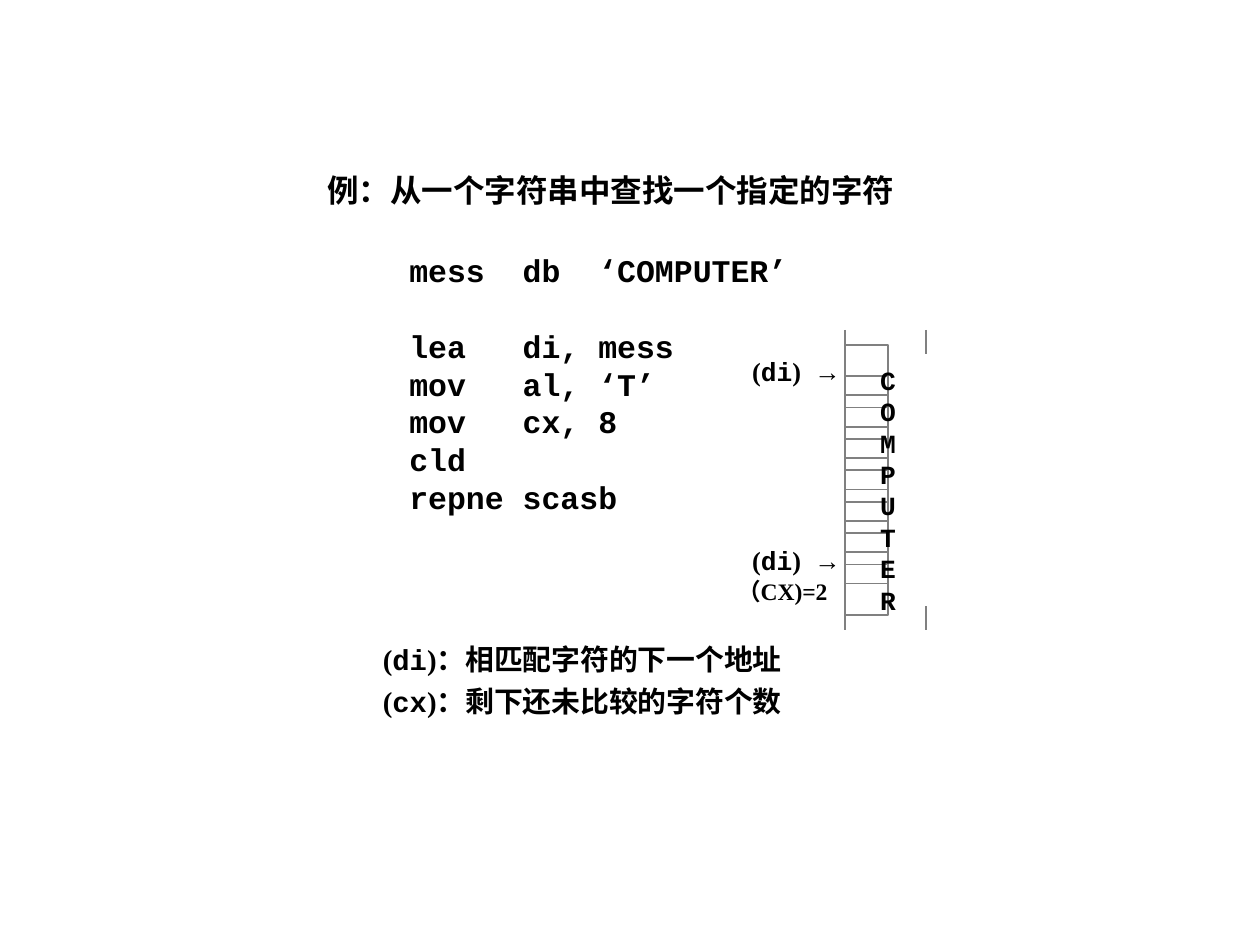
from pptx import Presentation
from pptx.dml.color import RGBColor
from pptx.enum.shapes import MSO_CONNECTOR, MSO_SHAPE
from pptx.enum.text import MSO_ANCHOR, PP_ALIGN
from pptx.oxml.ns import qn
from pptx.util import Cm, Pt
from lxml.etree import SubElement

COLORS = {"text": "000000", "line": "808080"}
SERIF, MONO = "Times New Roman", "Courier New"
WORD = "COMPUTER"
CODE_LINES = [
    " mess  db  ‘COMPUTER’",
    " lea   di, mess",
    " mov   al, ‘T’",
    " mov   cx, 8",
    " cld",
    " repne scasb",
]
CODE_GAPS = {0: Pt(24), 1: Pt(21.6)}


def add_text_frame(slide, left, top, width, height, **formats):
    shape = slide.shapes.add_textbox(Cm(left), Cm(top), Cm(width), Cm(height))
    text_frame = shape.text_frame
    for name, value in {"word_wrap": True, **formats}.items():
        setattr(text_frame, name, value)
    return text_frame


def fill_paragraph(paragraph, runs, size, **formats):
    """Fill a paragraph with (text, font name) runs in bold."""
    for name, value in formats.items():
        setattr(paragraph, name, value)
    for text, font_name in runs:
        run = paragraph.add_run()
        run.text = text
        for name, value in {"name": font_name, "size": Pt(size), "bold": True}.items():
            setattr(run.font, name, value)
        run.font.color.rgb = RGBColor.from_string(COLORS["text"])


def add_line(slide, x, start, end):
    line = slide.shapes.add_connector(
        MSO_CONNECTOR.STRAIGHT, Cm(x), Cm(start), Cm(x), Cm(end))
    line.line.color.rgb = RGBColor.from_string(COLORS["line"])
    line.line.width = Pt(1)
    SubElement(line._element.spPr, qn("a:effectLst"))


def add_cell(slide, left, top, width, height):
    cell = slide.shapes.add_shape(
        MSO_SHAPE.RECTANGLE, Cm(left), Cm(top), Cm(width), Cm(height))
    cell.shadow.inherit = False
    cell.fill.background()
    cell.line.color.rgb = RGBColor.from_string(COLORS["line"])
    cell.line.width = Pt(1)


def add_example(slide, left, top, width, height):
    text_frame = add_text_frame(slide, left, top, width, height)
    layout = {"alignment": PP_ALIGN.JUSTIFY, "line_spacing": Pt(21.6)}
    fill_paragraph(text_frame.paragraphs[0],
                   [("例：从一个字符串中查找一个指定的字符", SERIF)], 18, **layout)
    for index, code in enumerate(CODE_LINES):
        paragraph = text_frame.add_paragraph()
        properties = paragraph._p.get_or_add_pPr()
        properties.set("marL", str(Cm(1.27)))
        properties.set("indent", "0")
        fill_paragraph(paragraph, [(code, MONO)], 18, level=1,
                       space_before=CODE_GAPS.get(index, Pt(0)), **layout)


def add_memory(slide, left, top, width, height):
    """Draw the open-ended column of memory cells with one letter each."""
    margin, cell_width, cell_height = 0.3, 0.86, 1.02
    pitch = (height - 2 * margin - cell_height) / (len(WORD) - 1)
    cell_tops = [top + margin + index * pitch for index in range(len(WORD))]
    for cell_top in cell_tops:
        add_cell(slide, left, cell_top, cell_width, cell_height)
    for letter, cell_top in zip(WORD, cell_tops):
        text_frame = add_text_frame(slide, left + 0.44, cell_top + 0.15, 0.84, 0.89,
                                    word_wrap=False, margin_top=Cm(0.24))
        fill_paragraph(text_frame.paragraphs[0], [(letter, MONO)], 15,
                       alignment=PP_ALIGN.CENTER)
    for x in (left, left + width):
        add_line(slide, x, top, top + 0.48)
        add_line(slide, x, top + height - 0.48, top + height)


def add_pointer(slide, left, top, width, height):
    text_frame = add_text_frame(slide, left, top, width, height,
                                word_wrap=False, margin_top=Cm(0.2))
    paragraph = text_frame.paragraphs[0]
    runs = [("(", SERIF), ("di", MONO), (")", SERIF), (" ", SERIF), ("→", SERIF)]
    fill_paragraph(paragraph, runs, 15, alignment=PP_ALIGN.CENTER)
    paragraph.runs[3].font._element.set("spc", "375")


def add_counter(slide, left, top, width, height):
    text_frame = add_text_frame(slide, left, top, width, height, margin_top=Cm(0.05))
    fill_paragraph(text_frame.paragraphs[0], [("（CX)=2", SERIF)], 13.5)


def add_explanation(slide, left, top, width, height):
    text_frame = add_text_frame(slide, left, top, width, height, margin_left=Cm(0.4),
                                vertical_anchor=MSO_ANCHOR.MIDDLE)
    rows = [("di", "相匹配字符的下一个地址"), ("cx", "剩下还未比较的字符个数")]
    for index, (register, meaning) in enumerate(rows):
        paragraph = text_frame.add_paragraph() if index else text_frame.paragraphs[0]
        runs = [("(", SERIF), (register, MONO), (")：" + meaning, SERIF)]
        fill_paragraph(paragraph, runs, 16.5, line_spacing=Pt(24))


def main():
    presentation = Presentation()
    presentation.slide_width, presentation.slide_height = Cm(25.4), Cm(19.05)
    slide = presentation.slides.add_slide(presentation.slide_layouts[6])
    add_example(slide, 6.35, 3.33, 12.22, 7.19)
    add_memory(slide, 17.04, 6.65, 1.63, 6.05)
    for top in (6.96, 10.77):
        add_pointer(slide, 14.91, top, 2.29, 0.89)
    add_explanation(slide, 7.32, 12.65, 8.89, 1.96)
    add_counter(slide, 14.61, 11.58, 2.69, 0.84)
    presentation.save("out.pptx")


if __name__ == "__main__":
    main()
